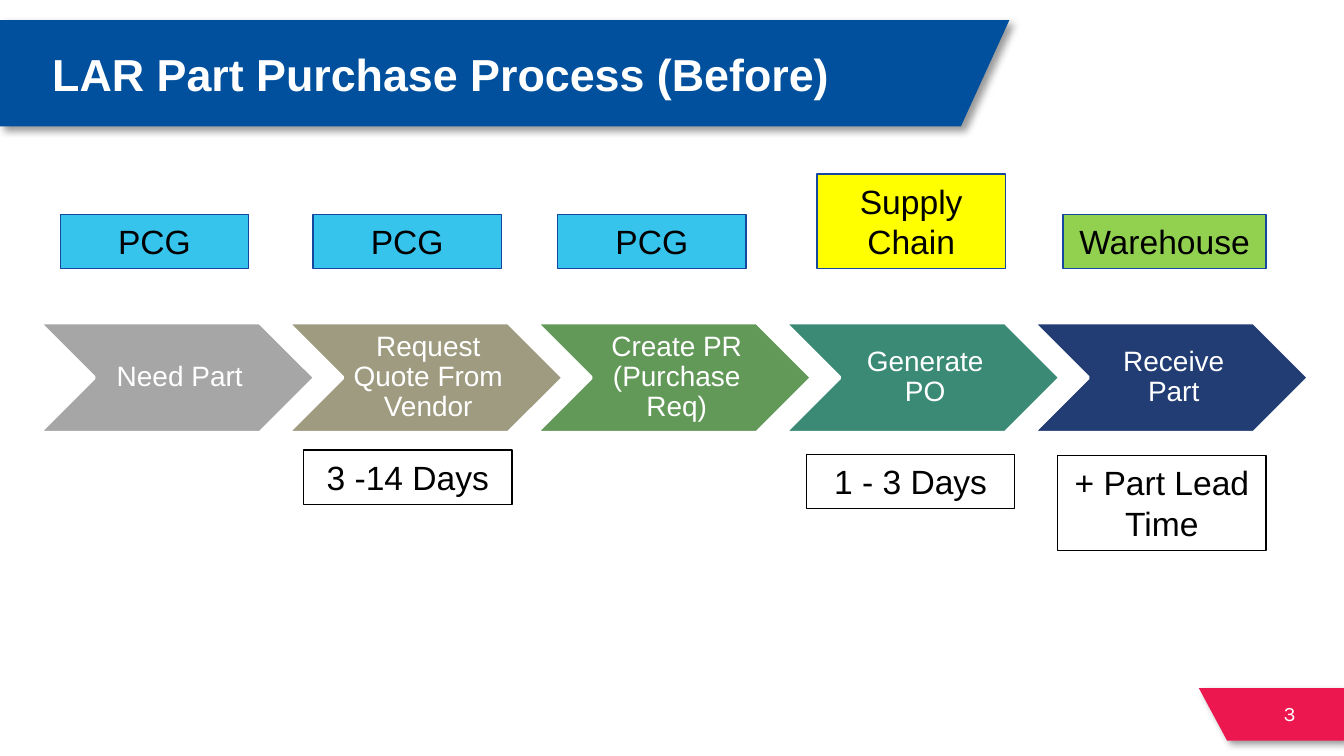
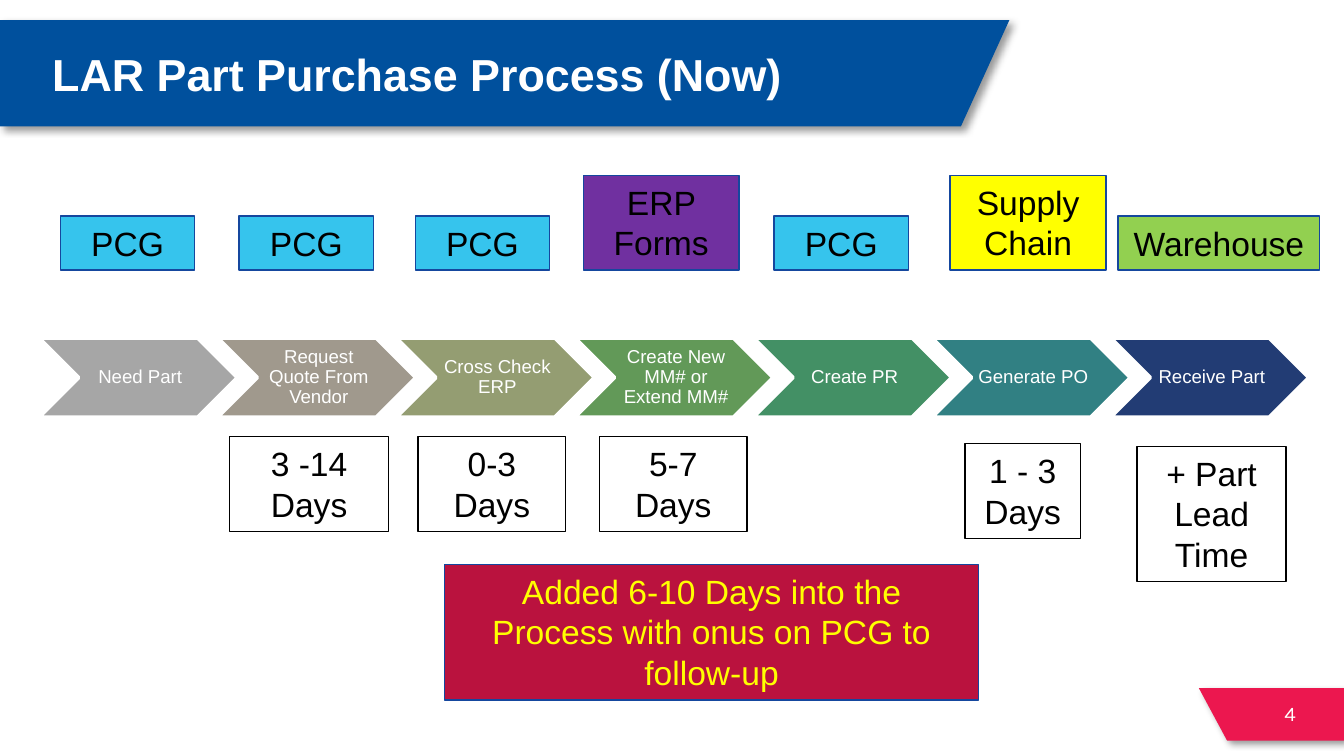
from pptx import Presentation
from pptx.dml.color import RGBColor
from pptx.enum.shapes import MSO_SHAPE
from pptx.enum.text import MSO_ANCHOR, MSO_AUTO_SIZE, PP_ALIGN
from pptx.oxml import parse_xml
from pptx.util import Inches, Pt

CHEVRON = MSO_SHAPE.CHEVRON
RECTANGLE = MSO_SHAPE.RECTANGLE
LEFT, CENTER, RIGHT = PP_ALIGN.LEFT, PP_ALIGN.CENTER, PP_ALIGN.RIGHT
TOP, MIDDLE = MSO_ANCHOR.TOP, MSO_ANCHOR.MIDDLE
GROW = MSO_AUTO_SIZE.SHAPE_TO_FIT_TEXT

COLUMNS, ROWS = 100, 56.25
CELL = Inches(10) / COLUMNS

WHITE, BLACK, YELLOW = "FFFFFF", "000000", "FFFF00"
BLUE, PINK, EDGE = "00509D", "EC174F", "15479E"
SKY, GREEN, PURPLE, CRIMSON = "36C4ED", "92D050", "7030A0", "BA123E"

SHADOW = (
    '<a:effectLst xmlns:a="http://schemas.openxmlformats.org/drawingml/2006/main">'
    '<a:outerShdw blurRad="50800" dist="38100" dir="2700000" algn="tl" rotWithShape="0">'
    '<a:srgbClr val="000000"><a:alpha val="40000"/></a:srgbClr>'
    "</a:outerShdw></a:effectLst>"
)


def color(value):
    return RGBColor.from_string(value)


def cells(count):
    return round(count * CELL)


class ProcessDeck:
    font = "Arial"
    flow_left, flow_width, flow_middle = 2.9, 94.5, 28.1

    def __init__(self):
        self.deck = Presentation()
        self.deck.slide_width = cells(COLUMNS)
        self.deck.slide_height = cells(ROWS)
        self.page = None

    def new_page(self, title, number):
        self.page = self.deck.slides.add_slide(self.deck.slide_layouts[6])
        self.band([(100, 51.2), (89.2, 51.2), (91.3, 55.1), (100, 55.1)], PINK)
        self.band([(0, 1.5), (75.1, 1.5), (71.5, 9.4), (0, 9.4)], BLUE)
        self.caption(number, 92.3, 51.6, 5.1, 3, 11, RIGHT, font="Karla")
        heading = self.caption(title, 2.9, 1, 84.1, 9.4, 24, LEFT, bold=True)
        heading.text_frame.paragraphs[0].line_spacing = Pt(26)

    def band(self, corners, fill):
        points = [(cells(column), cells(row)) for column, row in corners]
        builder = self.page.shapes.build_freeform(*points[0], scale=1.0)
        builder.add_line_segments(points[1:], close=True)
        band = builder.convert_to_shape()
        band.fill.solid()
        band.fill.fore_color.rgb = color(fill)
        band.line.fill.background()
        band.shadow.inherit = False
        properties = band.element.spPr
        properties.replace(properties.find("{*}effectLst"), parse_xml(SHADOW))

    def set_text(self, box, text, size, ink, align, anchor, font=None, bold=False):
        frame = box.text_frame
        frame.text = text
        frame.word_wrap = True
        frame.vertical_anchor = anchor
        para = frame.paragraphs[0]
        para.alignment = align
        for span in para.runs:
            span.font.name = font or self.font
            span.font.size = Pt(size)
            span.font.bold = bold
            span.font.color.rgb = color(ink)
        return frame

    def caption(self, text, left, top, width, height, size, align, font=None, bold=False):
        box = self.page.shapes.add_textbox(*map(cells, (left, top, width, height)))
        self.set_text(box, text, size, WHITE, align, MIDDLE, font, bold)
        return box

    def shape(self, kind, left, top, width, height, fill, edge, weight):
        shape = self.page.shapes.add_shape(kind, *map(cells, (left, top, width, height)))
        shape.shadow.inherit = False
        if fill:
            shape.fill.solid()
            shape.fill.fore_color.rgb = color(fill)
        else:
            shape.fill.background()
        shape.line.color.rgb = color(edge)
        shape.line.width = Pt(weight)
        return shape

    def flow(self, steps, size):
        width = self.flow_width / (len(steps) - 0.1 * (len(steps) - 1))
        height = 0.4 * width
        for index, (text, fill) in enumerate(steps):
            left = self.flow_left + index * 0.9 * width
            top = self.flow_middle - height / 2
            step = self.shape(CHEVRON, left, top, width, height, fill, WHITE, 2)
            frame = self.set_text(step, text, size, WHITE, CENTER, MIDDLE)
            frame.margin_left = cells(0.03 * width)
            frame.margin_right = frame.margin_top = frame.margin_bottom = cells(0.01 * width)
            frame.paragraphs[0].line_spacing = 0.9

    def label(self, text, left, top, width, lines=1, fill=None, edge=BLACK, ink=BLACK):
        box = self.shape(RECTANGLE, left, top, width, self.label_height(lines), fill, edge, 0.75)
        self.set_text(box, text, 18, ink, CENTER, TOP).auto_size = GROW

    def label_height(self, lines):
        return 1 + 3.03 * lines

    def owners(self, bottom, entries):
        for text, left, width, lines, fill in entries:
            top = bottom - self.label_height(lines)
            self.label(text, left, top, width, lines, fill, EDGE)

    def durations(self, entries):
        for entry in entries:
            self.label(*entry)

    def save(self):
        self.deck.save("out.pptx")


def before_page(deck):
    deck.new_page("LAR Part Purchase Process (Before)", "3")
    deck.flow([
        ("Need Part", "A6A6A6"),
        ("Request Quote From Vendor", "9F9B80"),
        ("Create PR (Purchase Req)", "629958"),
        ("Generate PO", "3A8A75"),
        ("Receive Part", "223C74"),
    ], 15)
    deck.durations([
        ("3 -14 Days", 22.6, 33.5, 15.5),
        ("1 - 3 Days", 60, 33.8, 15.5),
        ("+ Part Lead Time", 78.7, 33.9, 15.5, 2),
    ])
    deck.owners(20, [
        ("PCG", 4.5, 14, 1, SKY),
        ("PCG", 23.3, 14, 1, SKY),
        ("PCG", 41.5, 14, 1, SKY),
        ("Supply Chain", 60.8, 14, 2, YELLOW),
        ("Warehouse", 79.1, 15.1, 1, GREEN),
    ])


def now_page(deck):
    deck.new_page("LAR Part Purchase Process (Now)", "4")
    deck.flow([
        ("Need Part", "A6A6A6"),
        ("Request Quote From Vendor", "A0998D"),
        ("Cross Check ERP", "949D72"),
        ("Create New MM# or Extend MM#", "629958"),
        ("Create PR", "439065"),
        ("Generate PO", "318083"),
        ("Receive Part", "223C74"),
    ], 10)
    deck.durations([
        ("3 -14 Days", 17.1, 32.5, 11.8, 2),
        ("0-3 Days", 31.1, 32.5, 11, 2),
        ("5-7 Days", 44.6, 32.5, 11, 2),
        ("1 - 3 Days", 71.8, 33, 8.6, 2),
        ("+ Part Lead Time", 84.6, 33.2, 11.1, 3),
    ])
    deck.owners(20.1, [
        ("PCG", 4.5, 10, 1, SKY),
        ("PCG", 17.8, 10, 1, SKY),
        ("PCG", 30.9, 10, 1, SKY),
        ("ERP Forms", 43.4, 11.6, 2, PURPLE),
        ("PCG", 57.6, 10, 1, SKY),
        ("Supply Chain", 70.7, 11.6, 2, YELLOW),
        ("Warehouse", 83.2, 15, 1, GREEN),
    ])
    deck.label(
        "Added 6-10 Days into the Process with onus on PCG to follow-up",
        33.1, 42, 39.7, 3, CRIMSON, EDGE, YELLOW,
    )


def main():
    deck = ProcessDeck()
    before_page(deck)
    now_page(deck)
    deck.save()


if __name__ == "__main__":
    main()
